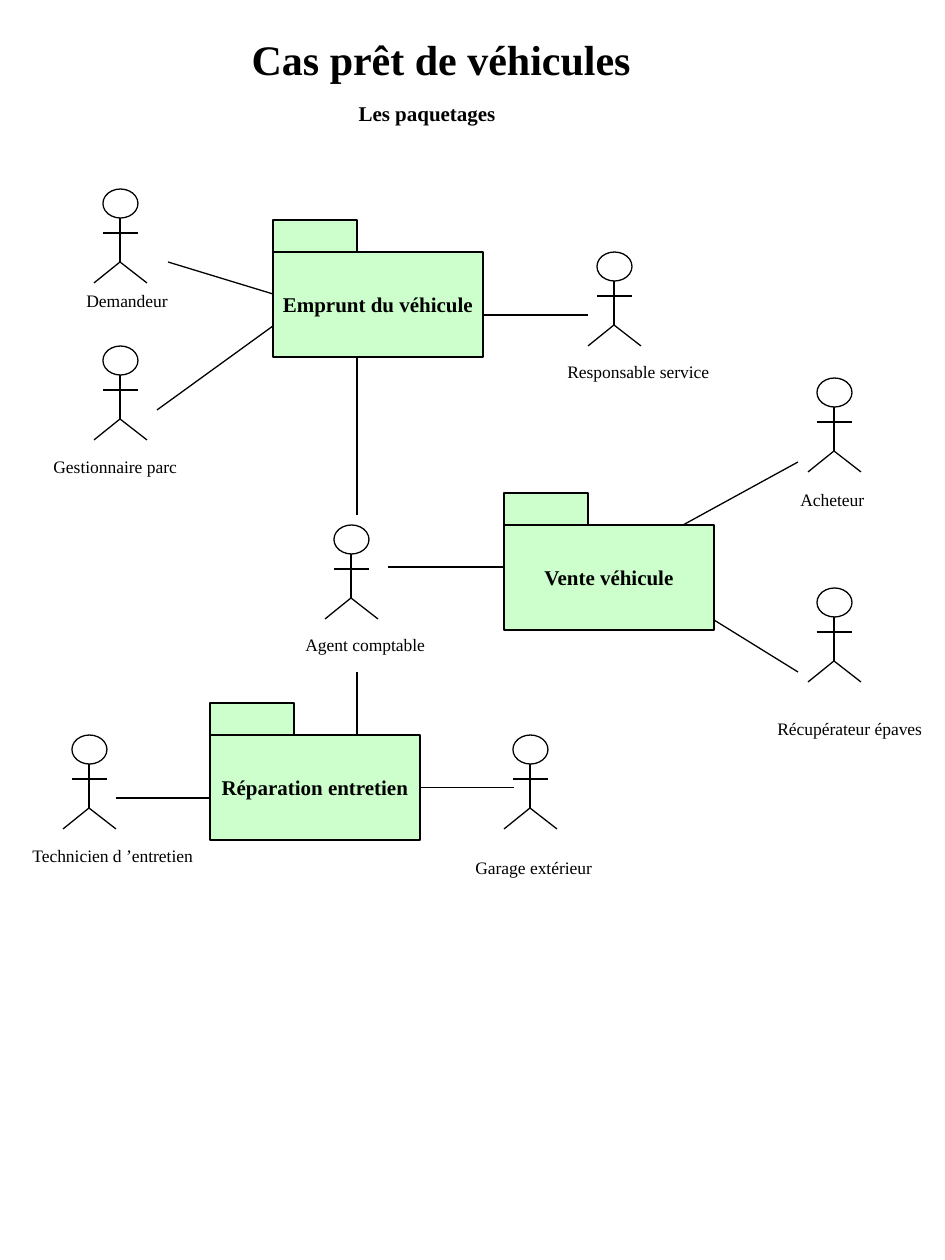
from lxml import etree
from pptx import Presentation
from pptx import util as u
from pptx.dml.color import RGBColor
from pptx.enum import shapes, text
from pptx.oxml.ns import qn

PX_PER_INCH = 126
SLIDE = (945, 1260)
FONT = "Times New Roman"
BLACK = RGBColor(0x00, 0x00, 0x00)
WHITE = RGBColor(0xFF, 0xFF, 0xFF)
GREEN = RGBColor(0xCC, 0xFF, 0xCC)

TITLE = ("Cas prêt de véhicules", (239, 27, 416, 63), 24)
SUBTITLE = ("Les paquetages", (346, 94, 172, 38), 12)

PACKAGES = {
    "Emprunt du véhicule": (273, 252),
    "Vente véhicule": (504, 525),
    "Réparation entretien": (210, 735),
}
PACKAGE_SIZE = (210, 105)
TAB_SIZE = (84, 32)

ACTORS = [
    ("Demandeur", (94, 189), (74, 284, 114)),
    ("Gestionnaire parc", (94, 346), (41, 450, 157)),
    ("Responsable service", (588, 252), (555, 355, 174)),
    ("Acheteur", (808, 378), (788, 483, 96)),
    ("Récupérateur épaves", (808, 588), (765, 712, 178)),
    ("Agent comptable", (325, 525), (293, 628, 153)),
    ("Technicien d ’entretien", (63, 735), (20, 839, 194)),
    ("Garage extérieur", (504, 735), (463, 851, 149)),
]
LABEL_HEIGHT = 34
HEAD = (9, 0, 35, 29)
LIMBS = [
    (26, 29, 26, 73),
    (9, 44, 44, 44),
    (26, 73, 0, 94),
    (26, 73, 53, 94),
]

LINKS = [
    (168, 262, 273, 294),
    (157, 410, 273, 326),
    (588, 315, 483, 315),
    (357, 515, 357, 357),
    (388, 567, 504, 567),
    (798, 462, 683, 525),
    (798, 672, 714, 620),
    (357, 672, 357, 735),
    (116, 798, 210, 798),
]
GARAGE_LINK = (514, 788, 420, 788)


def px(*lengths):
    return [u.Emu(round(length * 914400 / PX_PER_INCH)) for length in lengths]


def write(shape, words, size=10, bold=False, wrap=True,
          align=text.PP_ALIGN.LEFT, anchor=text.MSO_ANCHOR.TOP):
    frame = shape.text_frame
    frame.word_wrap = wrap
    frame.auto_size = text.MSO_AUTO_SIZE.NONE
    frame.vertical_anchor = anchor
    paragraph = frame.paragraphs[0]
    paragraph.alignment = align
    paragraph.space_before = u.Pt(0)
    run = paragraph.add_run()
    run.text = words
    run.font.name = FONT
    run.font.size = u.Pt(size)
    run.font.bold = bold
    run.font.color.rgb = BLACK


def outline(shape):
    shape.line.color.rgb = BLACK
    shape.line.width = u.Pt(0.75)


def add_box(parent, kind, box, fill):
    shape = parent.add_shape(kind, *px(*box))
    shape.shadow.inherit = False
    shape.fill.solid()
    shape.fill.fore_color.rgb = fill
    outline(shape)
    return shape


def add_line(parent, ends):
    line = parent.add_connector(shapes.MSO_CONNECTOR.STRAIGHT, *px(*ends))
    outline(line)
    etree.SubElement(line._element.spPr, qn("a:effectLst"))
    return line


def add_package(slide, name, left, top):
    rectangle = shapes.MSO_SHAPE.RECTANGLE
    body = add_box(slide.shapes, rectangle, (left, top, *PACKAGE_SIZE), GREEN)
    write(body, name, size=12, bold=True, wrap=False,
          align=text.PP_ALIGN.CENTER, anchor=text.MSO_ANCHOR.MIDDLE)
    add_box(slide.shapes, rectangle, (left, top - TAB_SIZE[1], *TAB_SIZE), GREEN)
    return body


def add_actor(slide, name, figure, label):
    left, top = figure
    group = slide.shapes.add_group_shape()
    x, y, width, height = HEAD
    add_box(group.shapes, shapes.MSO_SHAPE.OVAL,
            (left + x, top + y, width, height), WHITE)
    for x1, y1, x2, y2 in LIMBS:
        add_line(group.shapes, (left + x1, top + y1, left + x2, top + y2))
    write(slide.shapes.add_textbox(*px(*label, LABEL_HEIGHT)), name)


def main():
    presentation = Presentation()
    presentation.slide_width, presentation.slide_height = px(*SLIDE)
    slide = presentation.slides.add_slide(presentation.slide_layouts[0])
    for shape, (words, box, size) in zip(slide.placeholders, (TITLE, SUBTITLE)):
        shape.left, shape.top, shape.width, shape.height = px(*box)
        write(shape, words, size=size, bold=True)

    packages = {name: add_package(slide, name, *corner)
                for name, corner in PACKAGES.items()}
    for actor in ACTORS:
        add_actor(slide, *actor)
    for ends in LINKS:
        add_line(slide.shapes, ends)
    garage_link = add_line(slide.shapes, GARAGE_LINK)
    garage_link.end_connect(packages["Réparation entretien"], 3)
    garage_link.begin_y = garage_link.end_y
    presentation.save("out.pptx")


if __name__ == "__main__":
    main()
